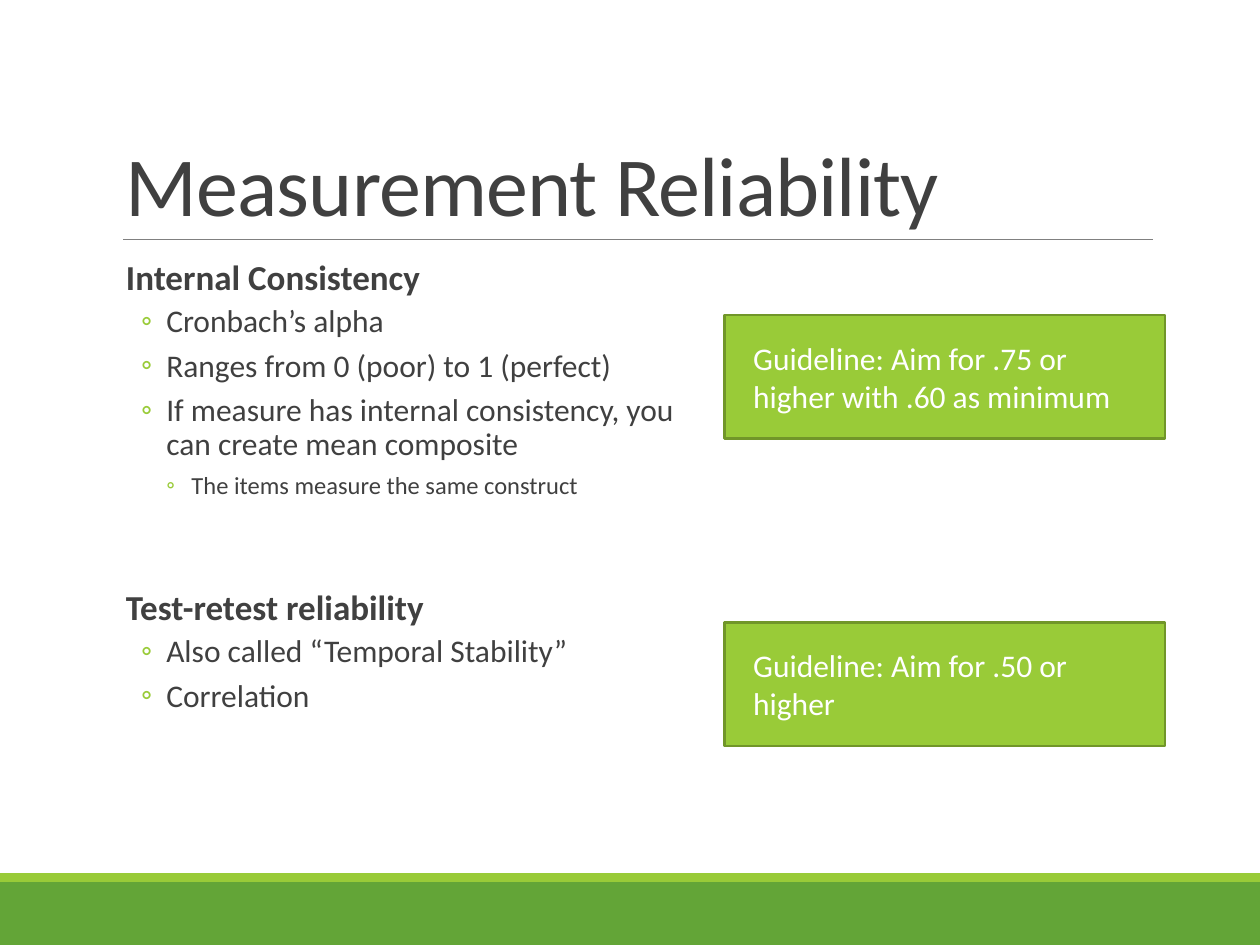
"""Build the Measurement Reliability slide."""
from typing import NamedTuple

from lxml import etree
from pptx import Presentation
from pptx.dml.color import RGBColor
from pptx.enum.shapes import MSO_CONNECTOR, MSO_SHAPE
from pptx.enum.text import MSO_ANCHOR, PP_ALIGN
from pptx.oxml.ns import qn
from pptx.util import Inches, Pt

RECTANGLE = MSO_SHAPE.RECTANGLE
STRAIGHT = MSO_CONNECTOR.STRAIGHT
BOTTOM, MIDDLE, LEFT = MSO_ANCHOR.BOTTOM, MSO_ANCHOR.MIDDLE, PP_ALIGN.LEFT
FONT = "Calibri"
DARK, WHITE, LIME, GREEN = "404040", "FFFFFF", "99CB38", "63A537"
RULE_GRAY, GUIDELINE_EDGE = "808080", "719629"


class Style(NamedTuple):
    level: int
    size: int
    bold: bool
    margin: float
    hanging: float
    before: int
    after: int


class Point(NamedTuple):
    text: str
    style: Style


class Guideline(NamedTuple):
    text: str
    top: float


HEADING = Style(0, 20, True, 0.1, 0, 12, 2)
LATER_HEADING = HEADING._replace(before=48)
ITEM = Style(1, 18, False, 0.42, 0.2, 2, 4)
DETAIL = Style(2, 14, False, 0.62, 0.2, 2, 4)

POINTS = [
    Point("Internal Consistency", HEADING),
    Point("Cronbach’s alpha", ITEM),
    Point("Ranges from 0 (poor) to 1 (perfect)", ITEM),
    Point("If measure has internal consistency, you can create mean composite", ITEM),
    Point("The items measure the same construct", DETAIL),
    Point("Test-retest reliability", LATER_HEADING),
    Point("Also called “Temporal Stability”", ITEM),
    Point("Correlation", ITEM),
]
GUIDELINES = [
    Guideline("Guideline: Aim for .50 or higher", 4.94),
    Guideline("Guideline: Aim for .75 or higher with .60 as minimum", 2.5),
]


def rgb(value: str) -> RGBColor:
    return RGBColor.from_string(value)


def format_font(paragraph, size: int, color: str, bold: bool = False) -> None:
    font = paragraph.runs[0].font
    font.name, font.size, font.bold = FONT, Pt(size), bold
    font.color.rgb = rgb(color)


def set_indent(paragraph, margin: float, hanging: float = 0) -> None:
    properties = paragraph._p.get_or_add_pPr()
    properties.set("marL", str(Inches(margin)))
    properties.set("indent", str(-Inches(hanging)))


def add_bullet(paragraph) -> None:
    properties = paragraph._p.get_or_add_pPr()
    color = etree.SubElement(properties, qn("a:buClr"))
    etree.SubElement(color, qn("a:srgbClr"), val=LIME)
    etree.SubElement(properties, qn("a:buFont"), typeface=FONT)
    etree.SubElement(properties, qn("a:buChar"), char="◦")


def add_box(slide, left: float, top: float, width: float, height: float, fill: str):
    box = slide.shapes.add_shape(
        RECTANGLE, Inches(left), Inches(top), Inches(width), Inches(height))
    box.shadow.inherit = False
    box.fill.solid()
    box.fill.fore_color.rgb = rgb(fill)
    box.line.fill.background()
    return box


def add_text_frame(slide, left: float, top: float, width: float, height: float):
    frame = slide.shapes.add_textbox(
        Inches(left), Inches(top), Inches(width), Inches(height)).text_frame
    frame.word_wrap = True
    return frame


def add_rule(slide) -> None:
    rule = slide.shapes.add_connector(
        STRAIGHT, Inches(0.98), Inches(1.9), Inches(9.15), Inches(1.9))
    rule.line.color.rgb = rgb(RULE_GRAY)
    rule.line.width = Pt(0.5)
    etree.SubElement(rule._element.spPr, qn("a:effectLst"))


def add_title(slide) -> None:
    frame = add_text_frame(slide, 0.9, 0.31, 8.25, 1.59)
    frame.vertical_anchor = BOTTOM
    frame.text = "Measurement Reliability"
    title = frame.paragraphs[0]
    title.line_spacing = 0.85
    format_font(title, 48, DARK)
    title.runs[0].font._element.set("spc", "-50")


def add_points(slide) -> None:
    frame = add_text_frame(slide, 0.9, 2.02, 4.6, 4.4)
    frame.margin_left = frame.margin_right = Inches(0)
    for index, (text, style) in enumerate(POINTS):
        paragraph = frame.add_paragraph() if index else frame.paragraphs[0]
        paragraph.text = text
        paragraph.level = style.level
        paragraph.line_spacing = 0.9
        paragraph.space_before = Pt(style.before)
        paragraph.space_after = Pt(style.after)
        set_indent(paragraph, style.margin, style.hanging)
        if style.level:
            add_bullet(paragraph)
        format_font(paragraph, style.size, DARK, style.bold)


def add_guideline(slide, guideline: Guideline) -> None:
    box = add_box(slide, 5.75, guideline.top, 3.5, 0.98, LIME)
    box.line.color.rgb = rgb(GUIDELINE_EDGE)
    box.line.width = Pt(1.25)
    frame = box.text_frame
    frame.word_wrap = True
    frame.vertical_anchor = MIDDLE
    frame.text = guideline.text
    paragraph = frame.paragraphs[0]
    paragraph.level = 1
    paragraph.alignment = LEFT
    set_indent(paragraph, 0.13)
    format_font(paragraph, 18, WHITE)


def main() -> None:
    presentation = Presentation()
    presentation.slide_width, presentation.slide_height = Inches(10), Inches(7.5)
    slide = presentation.slides.add_slide(presentation.slide_layouts[6])
    add_box(slide, 0, 7, 10, 0.5, GREEN)
    add_box(slide, 0, 6.93, 10, 0.07, LIME)
    add_rule(slide)
    add_title(slide)
    add_points(slide)
    for guideline in GUIDELINES:
        add_guideline(slide, guideline)
    presentation.save("out.pptx")


main()
